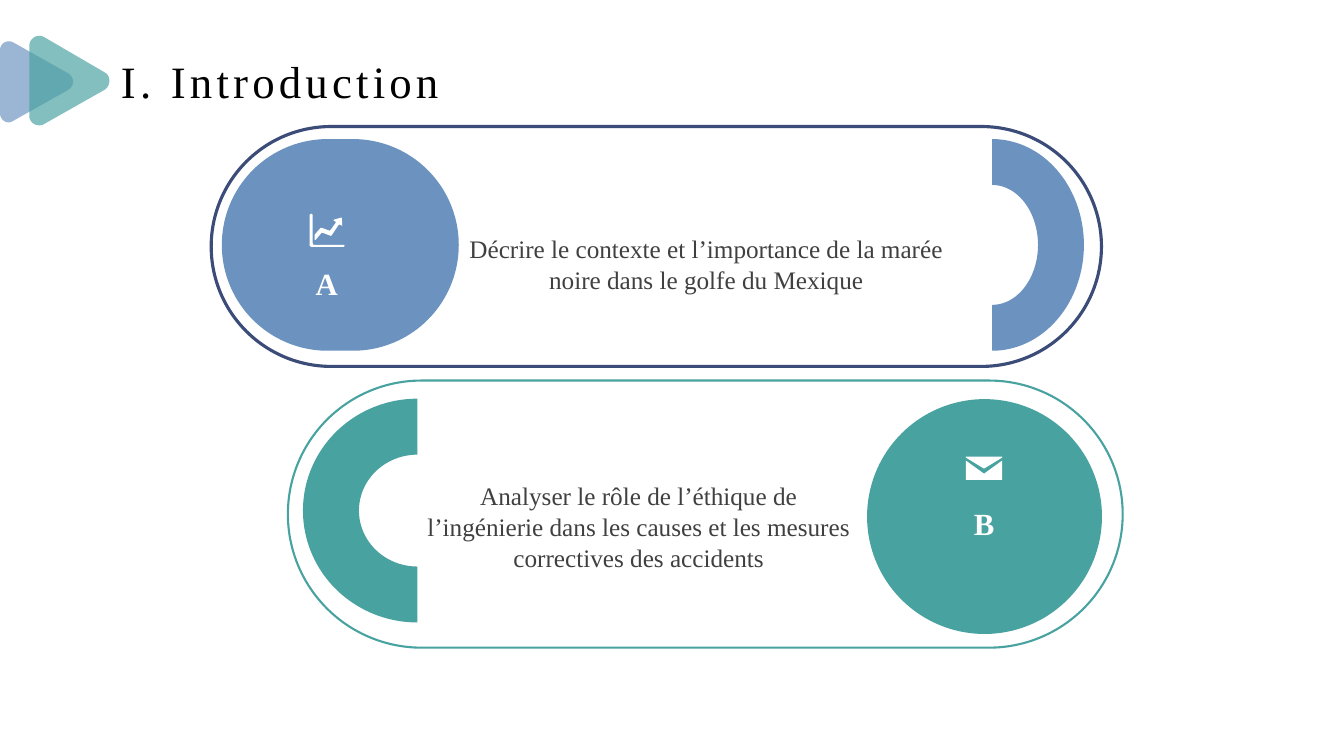
from dataclasses import dataclass
from lxml import etree
from pptx import Presentation
from pptx import util as u
from pptx.dml.color import RGBColor
from pptx.enum import shapes, text
from pptx.oxml import ns


@dataclass(frozen=True)
class Theme:
    font: str = "Times New Roman"
    blue: str = "6C92C0"
    navy: str = "3C4C79"
    teal: str = "48A2A0"
    white: str = "FFFFFF"
    black: str = "000000"
    gray: str = "404040"
    heading: int = 32
    letter: int = 22
    body: int = 18
    leading: int = 22


theme = Theme()
deck = Presentation()
deck.slide_width, deck.slide_height = u.Inches(13.33), u.Inches(7.5)
cell = deck.slide_height / 75
slide = deck.slides.add_slide(deck.slide_layouts[5])


def grid(*cells):
    return [round(n * cell) for n in cells]


def paint(shape, fill=None, line=None, weight=0):
    shape.shadow.inherit = False
    if fill:
        shape.fill.solid()
        shape.fill.fore_color.rgb = RGBColor.from_string(fill)
    else:
        shape.fill.background()
    if line:
        shape.line.color.rgb = RGBColor.from_string(line)
        shape.line.width = u.Pt(weight)
    else:
        shape.line.fill.background()
    return shape


heading = slide.shapes.title
heading.left, heading.top, heading.width, heading.height = grid(11, 4.8, 37.5, 6.4)
heading.text_frame.text = "I. Introduction"
heading.text_frame.auto_size = text.MSO_AUTO_SIZE.NONE
heading.text_frame.vertical_anchor = text.MSO_ANCHOR.TOP
heading_line = heading.text_frame.paragraphs[0]
heading_line.alignment = text.PP_ALIGN.LEFT
heading_line.font.name = theme.font
heading_line.font.size = u.Pt(theme.heading)
heading_line.font.color.rgb = RGBColor.from_string(theme.black)
heading_line.runs[0].font._element.set("spc", "300")

blue_corners = [
    [(6.8, 8.9), (7.4, 8.5), (7.4, 7.7), (6.8, 7.3)],
    [(1.3, 4.2), (0.7, 3.9), (0, 4.3), (0, 5)],
    [(0, 11.2), (0, 11.9), (0.7, 12.4), (1.3, 12)],
]
teal_corners = [
    [(10.4, 8.9), (11, 8.5), (11, 7.5), (10.4, 7.2)],
    [(4.4, 3.7), (3.7, 3.3), (2.9, 3.8), (2.9, 4.6)],
    [(2.9, 11.5), (2.9, 12.2), (3.7, 12.7), (4.4, 12.3)],
]
for corners, color in [(blue_corners, theme.blue), (teal_corners, theme.teal)]:
    outline = []
    for corner in corners:
        for t in [step / 12 for step in range(13)]:
            weights = [(1 - t) ** 3, 3 * t * (1 - t) ** 2, 3 * t * t * (1 - t), t ** 3]
            outline.append(grid(*[sum(w * p[axis] for w, p in zip(weights, corner))
                                  for axis in (0, 1)]))
    pen = slide.shapes.build_freeform(*outline[0])
    pen.add_line_segments(outline[1:])
    arrowhead = paint(pen.convert_to_shape(), color)
    tint = arrowhead.fill._xPr.find(".//" + ns.qn("a:srgbClr"))
    etree.SubElement(tint, ns.qn("a:alpha")).set("val", "68000")

trend_icon = [
    [(33.8, 21.6), (33.9, 21.6), (33.95, 22.4), (33.7, 22.3), (33.6, 22.3), (32.9, 23.35),
     (32.8, 23.4), (32, 23.1), (31.9, 23.1), (31.3, 23.8), (31.2, 23.8), (31.2, 23.3),
     (31.8, 22.6), (31.9, 22.6), (32.7, 22.9), (32.8, 22.8), (33.3, 22.1), (33.3, 22),
     (33.1, 21.9), (33.1, 21.8)],
    [(30.9, 21.2), (31, 21.3), (31, 24.1), (31.1, 24.3), (34.1, 24.3), (34.2, 24.4),
     (34.1, 24.5), (30.9, 24.5), (30.7, 24.4), (30.7, 21.3)],
]
mail_icon = [
    [(99.4, 45.7), (99.4, 47.6), (95.8, 47.6), (95.8, 45.7), (97.6, 47)],
    [(95.8, 45.3), (99.4, 45.3), (99.4, 45.4), (97.6, 46.5), (95.8, 45.4)],
]
topics = [
    dict(pill=(20.95, 12.55, 88.3, 23.8), border=theme.navy, weight=2.25, fill=theme.blue,
         disc=(22, 13.8, 23.5, 21), arc=(87.9, 15.2, 21, 18.2), turn=90, icon=trend_icon,
         letter="A", letter_at=(25.7, 26.3, 13.4, 3.7), goal_at=(45.5, 23.1, 49.1, 6),
         goal="Décrire le contexte et l’importance de la marée noire dans le golfe du Mexique"),
    dict(pill=(28.55, 37.75, 82.8, 26.5), border=theme.teal, weight=1.5, fill=theme.teal,
         disc=(86, 39.6, 23.3, 23.3), arc=(30.3, 39.3, 22.2, 22.7), turn=270, icon=mail_icon,
         letter="B", letter_at=(90.9, 50.1, 13.4, 3.7), goal_at=(42.1, 47.6, 42.5, 9.1),
         goal="Analyser le rôle de l’éthique de l’ingénierie dans les causes et les mesures "
              "correctives des accidents"),
]
for topic in topics:
    pill = slide.shapes.add_shape(shapes.MSO_SHAPE.ROUNDED_RECTANGLE, *grid(*topic["pill"]))
    disc = slide.shapes.add_shape(shapes.MSO_SHAPE.ROUNDED_RECTANGLE, *grid(*topic["disc"]))
    pill.adjustments[0] = disc.adjustments[0] = 0.5
    paint(pill, line=topic["border"], weight=topic["weight"])
    paint(disc, topic["fill"])
    arc = slide.shapes.add_shape(shapes.MSO_SHAPE.BLOCK_ARC, *grid(*topic["arc"]))
    arc.rotation = topic["turn"]
    paint(arc, topic["fill"])

    first, second = [[grid(*point) for point in part] for part in topic["icon"]]
    pen = slide.shapes.build_freeform(*first[0])
    pen.add_line_segments(first[1:])
    pen.move_to(*second[0])
    pen.add_line_segments(second[1:])
    paint(pen.convert_to_shape(), theme.white)

    for words, place, size, color, bold, leading in [
        (topic["goal"], topic["goal_at"], theme.body, theme.gray, False, u.Pt(theme.leading)),
        (topic["letter"], topic["letter_at"], theme.letter, theme.white, True, None),
    ]:
        frame = slide.shapes.add_textbox(*grid(*place)).text_frame
        frame.word_wrap = True
        frame.margin_left = frame.margin_right = frame.margin_top = frame.margin_bottom = 0
        frame.text = words
        line = frame.paragraphs[0]
        line.alignment = text.PP_ALIGN.CENTER
        line.line_spacing = leading
        line.font.name, line.font.size, line.font.bold = theme.font, u.Pt(size), bold
        line.font.color.rgb = RGBColor.from_string(color)

deck.save("out.pptx")
